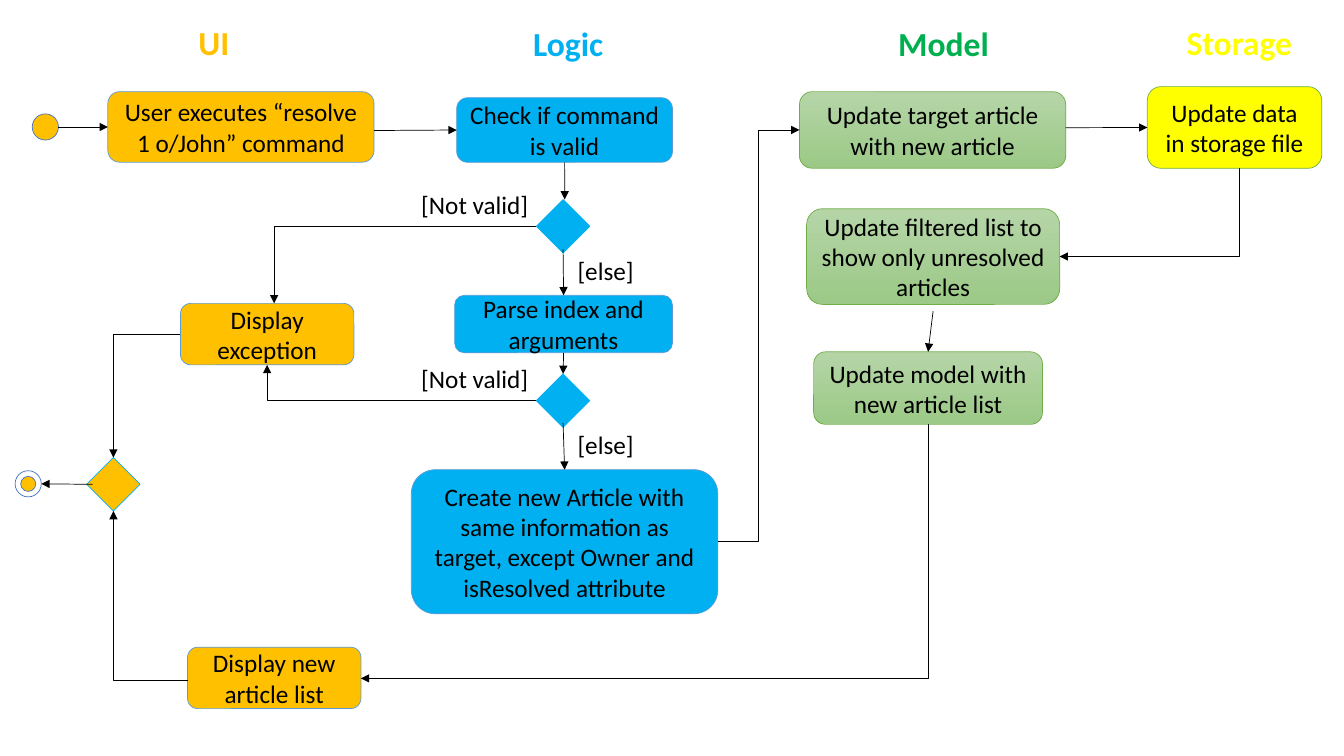
import dataclasses

import pptx
import pptx.dml.color
import pptx.enum.dml
import pptx.enum.shapes
import pptx.enum.text
import pptx.oxml
import pptx.oxml.ns
import pptx.util

KINDS = pptx.enum.shapes.MSO_SHAPE
LINKS = pptx.enum.shapes.MSO_CONNECTOR
ALIGN = pptx.enum.text.PP_ALIGN
ANCHOR = pptx.enum.text.MSO_ANCHOR
CELL = pptx.util.Inches(0.1)


@dataclasses.dataclass(frozen=True)
class Theme:
    font: str = "Calibri"
    body: int = 18
    heading: int = 24
    hairline: float = 0.5
    ink: str = "000000"
    paper: str = "FFFFFF"
    amber: str = "FFC000"
    blue: str = "00B0F0"
    green: str = "00B050"
    yellow: str = "FFFF00"
    leaf: tuple = ("B5D5A7", "9CC987")
    steel: str = "5B9BD5"
    navy: str = "4472C4"
    moss: str = "70AD47"


@dataclasses.dataclass(frozen=True)
class Box:
    left: float
    top: float
    width: float
    height: float

    def inside(self, left, top, width, height):
        return Box(self.left + left, self.top + top, width, height)

    def point(self, across, down):
        return self.left + across * self.width, self.top + down * self.height

    def lengths(self):
        return [round(value * CELL) for value in dataclasses.astuple(self)]


THEME = Theme()


def apply_format(target, values):
    for name, value in values.items():
        setattr(target, name, value)


def color(code):
    return pptx.dml.color.RGBColor.from_string(code)


def write(shape, text, size, ink, bold=None, **frame_format):
    frame = shape.text_frame
    apply_format(frame, {"word_wrap": True, **frame_format})
    para = frame.paragraphs[0]
    span = para.add_run()
    span.text = text
    apply_format(span.font, {"name": THEME.font, "size": pptx.util.Pt(size), "bold": bold})
    span.font.color.rgb = color(ink)
    return para


def add_text(page, box, text, size=THEME.body, ink=THEME.ink, bold=None):
    shape = page.shapes.add_textbox(*box.lengths())
    write(shape, text, size, ink, bold, auto_size=pptx.enum.text.MSO_AUTO_SIZE.SHAPE_TO_FIT_TEXT)


def add_node(shapes, box, kind, fill, outline, text=None):
    shape = shapes.add_shape(kind, *box.lengths())
    shape.shadow.inherit = False
    if isinstance(fill, tuple):
        shape.fill.gradient()
        shape.fill.gradient_angle = 270
        for stop, code in zip(shape.fill.gradient_stops, fill):
            stop.color.rgb = color(code)
    else:
        shape.fill.solid()
        shape.fill.fore_color.rgb = color(fill)
    shape.line.color.rgb = color(outline)
    shape.line.width = pptx.util.Pt(THEME.hairline)
    if text:
        para = write(shape, text, THEME.body, THEME.ink, vertical_anchor=ANCHOR.MIDDLE)
        para.alignment = ALIGN.CENTER
    return box


def add_steps(page, lane, steps, fill, outline):
    return {
        name: add_node(page.shapes, lane.inside(*place), KINDS.ROUNDED_RECTANGLE, fill, outline, text)
        for name, place, text in steps
    }


def add_heading(page, lane, left, top, text, ink):
    add_text(page, lane.inside(left, top, 26.6, 5), text, THEME.heading, ink, True)


def add_ui_lane(page, lane):
    add_heading(page, lane, 18.7, 1.7, "UI", THEME.amber)
    nodes = add_steps(page, lane, [
        ("command", (10.7, 9.1, 26.4, 7), "User executes “resolve 1 o/John” command"),
        ("exception", (17.9, 30.1, 17.2, 6.1), "Display exception"),
        ("result", (18.6, 64.2, 17.2, 6.1), "Display new article list"),
    ], THEME.amber, THEME.steel)
    nodes["start"] = add_node(page.shapes, lane.inside(3.2, 11.3, 2.6, 2.6),
                              KINDS.OVAL, THEME.amber, THEME.navy)
    nodes["merge"] = add_node(page.shapes, lane.inside(8.6, 45.4, 5.3, 5.3),
                              KINDS.DIAMOND, THEME.amber, THEME.blue)
    ring = lane.inside(1.5, 46.7, 2.6, 2.6)
    target = page.shapes.add_group_shape().shapes
    nodes["end"] = add_node(target, ring, KINDS.OVAL, THEME.paper, THEME.navy)
    add_node(target, ring.inside(0.55, 0.55, 1.5, 1.5), KINDS.OVAL, THEME.amber, THEME.navy)
    return nodes


def add_logic_lane(page, lane):
    add_heading(page, lane, 11.9, 1.8, "Logic", THEME.blue)
    nodes = add_steps(page, lane, [
        ("check", (5.3, 9.7, 21.4, 6.4), "Check if command is valid"),
        ("parse", (5.1, 29.3, 21.6, 5.7), "Parse index and arguments"),
        ("create", (0.8, 46.6, 30.4, 14.3),
         "Create new Article with same information as target, except Owner and isResolved attribute"),
    ], THEME.blue, THEME.steel)
    for name, top in (("command valid", 19.8), ("arguments valid", 37.1)):
        nodes[name] = add_node(page.shapes, lane.inside(13.2, top, 5.3, 5.3),
                               KINDS.DIAMOND, THEME.blue, THEME.blue)
        add_text(page, lane.inside(0.8, top - 1.5, 13.6, 4), "[Not valid]")
        add_text(page, lane.inside(16.3, top + 5, 9.3, 4), "[else]")
    return nodes


def add_model_lane(page, lane):
    add_heading(page, lane, 9.1, 1.8, "Model", THEME.green)
    return add_steps(page, lane, [
        ("replace", (0.3, 9.1, 26.4, 7.6), "Update target article with new article"),
        ("filter", (1, 20.7, 25.1, 9.5), "Update filtered list to show only unresolved articles"),
        ("model", (1.7, 34.9, 22.7, 7.2), "Update model with new article list"),
    ], THEME.leaf, THEME.moss)


def add_storage_lane(page, lane):
    add_heading(page, lane, 3.7, 1.7, "Storage", THEME.yellow)
    return add_steps(page, lane, [
        ("storage", (0.8, 8.6, 17.3, 8.1), "Update data in storage file"),
    ], THEME.yellow, THEME.moss)


def add_arrow(page, start, finish, route="straight"):
    if route == "down first":
        start, finish = finish, start
    kind = LINKS.STRAIGHT if route == "straight" else LINKS.ELBOW
    ends = [round(value * CELL) for value in (*start, *finish)]
    arrow = page.shapes.add_connector(kind, *ends)
    arrow.line.color.rgb = color(THEME.ink)
    arrow.line.width = pptx.util.Pt(THEME.hairline)
    if route in ("across first", "down first"):
        properties = arrow._element.spPr
        properties.find(pptx.oxml.ns.qn("a:prstGeom")).set("prst", "bentConnector2")
    tip = "a:headEnd" if route == "down first" else "a:tailEnd"
    for parent, tag in ((arrow.line._get_or_add_ln(), tag_name(tip, ' type="triangle"')),
                        (arrow._element.spPr, tag_name("a:effectLst"))):
        parent.append(pptx.oxml.parse_xml(tag))


def tag_name(name, attributes=""):
    return f"<{name} {pptx.oxml.ns.nsdecls('a')}{attributes}/>"


def add_flow(page, nodes):
    flow = [
        ("start", (1, 0.5), "command", (0, 0.5), "straight"),
        ("command", (1, 0.55), "check", (0, 0.5), "straight"),
        ("check", (0.5, 1), "command valid", (0.53, 0), "straight"),
        ("command valid", (0.5, 0.93), "parse", (0.5, 0), "straight"),
        ("parse", (0.5, 1), "arguments valid", (0.5, 0), "straight"),
        ("arguments valid", (0.5, 0.92), "create", (0.5, 0), "straight"),
        ("command valid", (0, 0.5), "exception", (0.54, 0), "across first"),
        ("arguments valid", (0, 0.5), "exception", (0.5, 1), "across first"),
        ("create", (1, 0.5), "replace", (0, 0.5), "halfway"),
        ("replace", (1, 0.47), "storage", (0, 0.5), "straight"),
        ("storage", (0.53, 1), "filter", (1, 0.5), "down first"),
        ("filter", (0.5, 1.07), "model", (0.5, 0), "straight"),
        ("model", (0.5, 1), "result", (1, 0.51), "down first"),
        ("exception", (0, 0.5), "merge", (0.5, 0), "across first"),
        ("result", (0, 0.54), "merge", (0.5, 1), "across first"),
        ("merge", (0.11, 0.5), "end", (1, 0.5), "straight"),
    ]
    for source, leave, target, arrive, route in flow:
        add_arrow(page, nodes[source].point(*leave), nodes[target].point(*arrive), route)


def main():
    deck = pptx.Presentation()
    apply_format(deck, {"slide_width": pptx.util.Inches(13.33), "slide_height": pptx.util.Inches(7.5)})
    page = deck.slides.add_slide(deck.slide_layouts[6])
    lanes = [(add_ui_lane, 0, 40), (add_logic_lane, 40, 39),
             (add_model_lane, 79, 34), (add_storage_lane, 113, 20.3)]
    nodes = {}
    for add_lane, left, width in lanes:
        nodes.update(add_lane(page, Box(left, 0, width, 75)))
    add_flow(page, nodes)
    deck.save("out.pptx")


if __name__ == "__main__":
    main()
